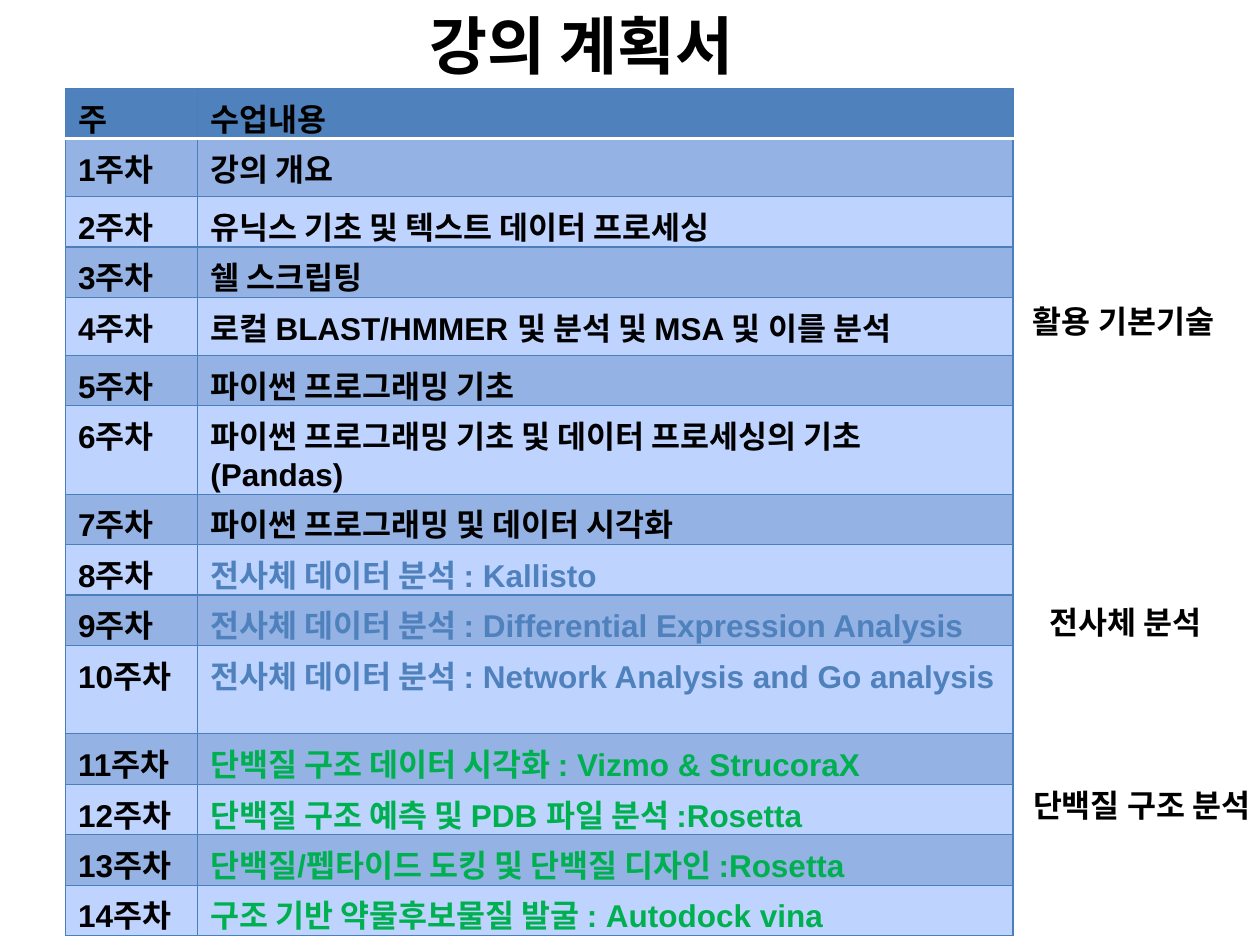
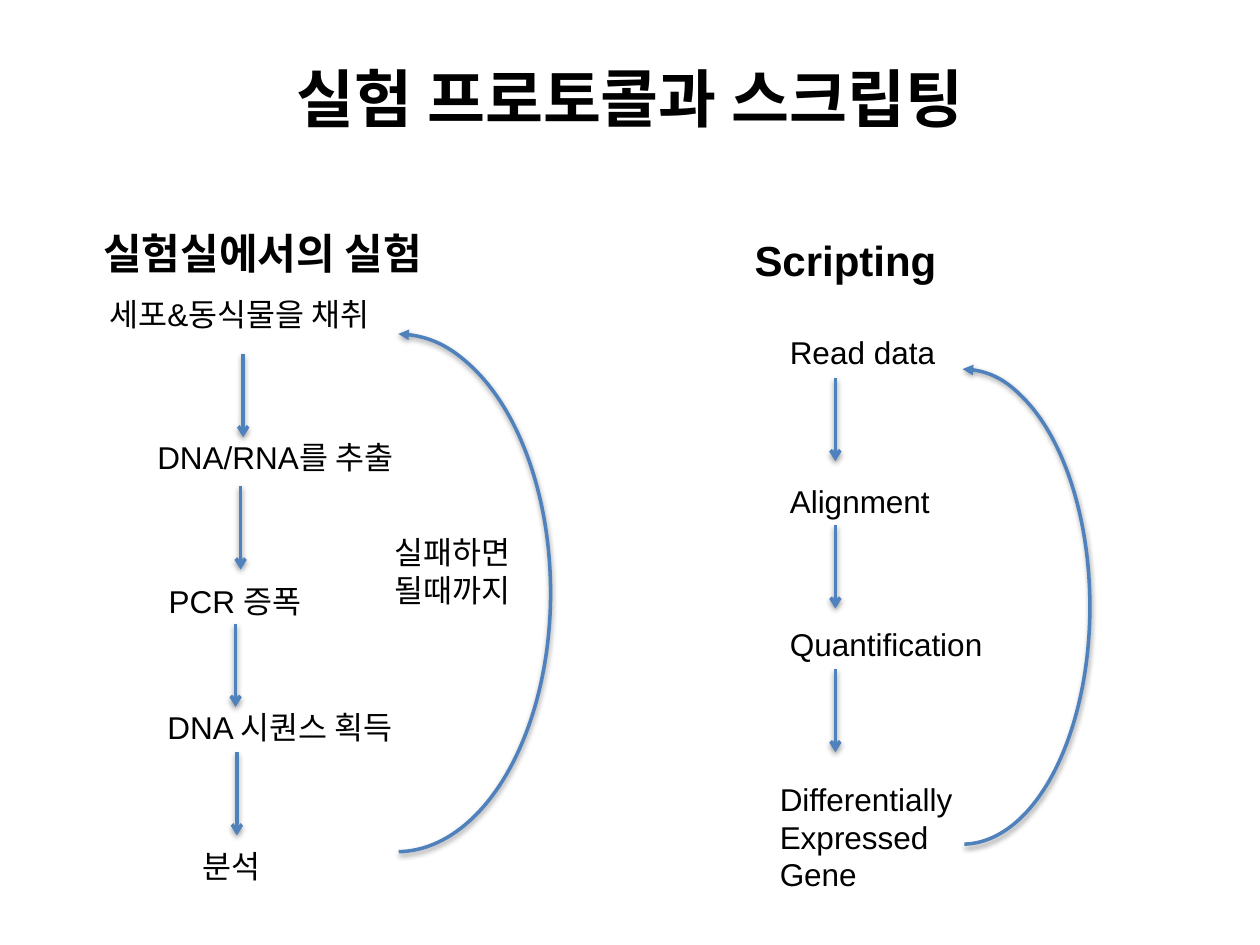
from dataclasses import dataclass

import pptx
import pptx.dml.color
import pptx.enum.dml
import pptx.enum.shapes
import pptx.enum.text
import pptx.oxml
import pptx.oxml.ns
import pptx.util
from pptx.util import Inches


@dataclass(frozen=True)
class Theme:
    text: str = "000000"
    accent: str = "4F81BD"
    green: str = "00B050"
    band_dark: str = "94B2E4"
    band_light: str = "BFD3FF"
    border: str = "4B7EBC"
    white: str = "FFFFFF"
    font: str = "Arial"
    label_font: str = "Calibri"
    title_size: int = 36
    heading_size: int = 24
    body_size: int = 18
    line_width: float = 2
    border_width: float = 0.75


THEME = Theme()


@dataclass(frozen=True)
class Label:
    text: str
    left: float
    top: float
    width: float
    height: float = 0.4
    size: int = THEME.body_size
    bold: bool = False
    font: str = THEME.font
    wrap: bool = False


@dataclass(frozen=True)
class Week:
    topic: str
    color: str = THEME.text
    height: float = 0.37


@dataclass(frozen=True)
class Arrow:
    x: float
    top: float
    length: float = 0.66


@dataclass(frozen=True)
class ReturnArc:
    left: float
    top: float
    width: float
    height: float
    start: float


WEEKS = [
    Week("강의 개요", height=0.46),
    Week("유닉스 기초 및 텍스트 데이터 프로세싱"),
    Week("쉘 스크립팅"),
    Week("로컬 BLAST/HMMER 및 분석 및 MSA 및 이를 분석", height=0.46),
    Week("파이썬 프로그래밍 기초"),
    Week("파이썬 프로그래밍 기초 및 데이터 프로세싱의 기초 (Pandas)"),
    Week("파이썬 프로그래밍 및 데이터 시각화"),
    Week("전사체 데이터 분석 : Kallisto", THEME.accent),
    Week("전사체 데이터 분석 : Differential Expression Analysis", THEME.accent),
    Week("전사체 데이터 분석 : Network Analysis and Go analysis", THEME.accent, 0.53),
    Week("단백질 구조 데이터 시각화 : Vizmo & StrucoraX", THEME.green),
    Week("단백질 구조 예측 및 PDB 파일 분석 :Rosetta", THEME.green),
    Week("단백질/펩타이드 도킹 및 단백질 디자인 :Rosetta", THEME.green),
    Week("구조 기반 약물후보물질 발굴 : Autodock vina", THEME.green),
]

PART_LABELS = [
    Label("활용 기본기술", 8.1, 2.35, 1.77, bold=True, font=THEME.label_font),
    Label("전사체 분석", 8.23, 4.74, 1.52, bold=True, font=THEME.label_font),
    Label("단백질 구조 분석", 8.1, 6.19, 2.08, bold=True, font=THEME.label_font),
]

PROTOCOL_LABELS = [
    Label("실험실에서의 실험", 0.72, 1.76, 2.99, 0.5, THEME.heading_size, True),
    Label("세포&동식물을 채취", 0.77, 2.29, 2.56, wrap=True),
    Label("DNA/RNA를 추출", 1.15, 3.43, 2.56, wrap=True),
    Label("PCR 증폭", 1.24, 4.57, 1.38),
    Label("DNA 시퀀스 획득", 1.23, 5.57, 2.12),
    Label("분석", 1.51, 6.67, 0.71),
    Label("실패하면\n될때까지", 3.03, 4.18, 1.21, 0.71),
    Label("Scripting", 5.89, 1.81, 1.66, 0.5, THEME.heading_size, True),
    Label("Read data", 6.17, 2.59, 1.37),
    Label("Alignment", 6.17, 3.78, 1.34),
    Label("Quantification", 6.17, 4.91, 1.75),
    Label("Differentially\nExpressed\nGene", 6.09, 6.14, 1.59, 1.01),
]

STEP_ARROWS = [
    Arrow(1.93, 2.81), Arrow(1.91, 3.86), Arrow(1.87, 4.95), Arrow(1.88, 5.97),
    Arrow(6.63, 3), Arrow(6.63, 4.17), Arrow(6.63, 5.31),
]

RETURN_ARCS = [
    ReturnArc(1.93, 2.65, 2.44, 4.11, 162.2),
    ReturnArc(6.63, 2.93, 2.02, 3.77, 162),
]


def rgb(color: str) -> pptx.dml.color.RGBColor:
    return pptx.dml.color.RGBColor.from_string(color)


def format_text(text_frame, size: int, bold: bool, font: str, color: str = THEME.text) -> None:
    for paragraph in text_frame.paragraphs:
        for run in paragraph.runs:
            run.font.size = pptx.util.Pt(size)
            run.font.bold = bold
            run.font.name = font
            run.font.color.rgb = rgb(color)


def place(shape, left: float, top: float, width: float, height: float) -> None:
    shape.left, shape.top = Inches(left), Inches(top)
    shape.width, shape.height = Inches(width), Inches(height)


def add_titled_slide(presentation, text: str, left: float, top: float, width: float, height: float):
    slide = presentation.slides.add_slide(presentation.slide_layouts[5])
    title = slide.shapes.title
    place(title, left, top, width, height)
    title.text_frame.text = text
    format_text(title.text_frame, THEME.title_size, True, THEME.font)
    return slide


def add_label(slide, label: Label) -> None:
    box = slide.shapes.add_textbox(
        Inches(label.left), Inches(label.top), Inches(label.width), Inches(label.height))
    text_frame = box.text_frame
    text_frame.text = label.text
    text_frame.word_wrap = label.wrap
    text_frame.auto_size = pptx.enum.text.MSO_AUTO_SIZE.SHAPE_TO_FIT_TEXT
    format_text(text_frame, label.size, label.bold, label.font)


def style_stroke(shape, end: str, arrowhead: str) -> None:
    shape.line.color.rgb = rgb(THEME.accent)
    shape.line.width = pptx.util.Pt(THEME.line_width)
    namespace = pptx.oxml.ns.nsdecls("a")
    shape.line._get_or_add_ln().append(
        pptx.oxml.parse_xml(f'<a:{end} {namespace} type="{arrowhead}"/>'))
    shape._element.spPr.append(pptx.oxml.parse_xml(
        f'<a:effectLst {namespace}><a:outerShdw blurRad="40000" dist="20000" dir="5400000" '
        'rotWithShape="0"><a:srgbClr val="000000"><a:alpha val="38000"/></a:srgbClr>'
        '</a:outerShdw></a:effectLst>'))


def add_step_arrow(slide, arrow: Arrow) -> None:
    connector = slide.shapes.add_connector(
        pptx.enum.shapes.MSO_CONNECTOR.STRAIGHT,
        Inches(arrow.x), Inches(arrow.top), Inches(arrow.x), Inches(arrow.top + arrow.length))
    style_stroke(connector, "tailEnd", "arrow")


def add_return_arc(slide, arc: ReturnArc) -> None:
    shape = slide.shapes.add_shape(
        pptx.enum.shapes.MSO_SHAPE.ARC,
        Inches(arc.left), Inches(arc.top), Inches(arc.width), Inches(arc.height))
    shape.adjustments[0] = arc.start
    shape.adjustments[1] = 53.75
    shape.fill.background()
    style_stroke(shape, "headEnd", "triangle")


def set_border(cell, side: str, color: str, width: float) -> None:
    cell._tc.get_or_add_tcPr().append(pptx.oxml.parse_xml(
        f'<a:{side} {pptx.oxml.ns.nsdecls("a")} w="{int(pptx.util.Pt(width))}">'
        f'<a:solidFill><a:srgbClr val="{color}"/></a:solidFill></a:{side}>'))


def fill_cell(cell, text: str, color: str, font: str, fill: str, white_side: str) -> None:
    cell.text_frame.text = text
    format_text(cell.text_frame, THEME.body_size, True, font, color)
    for side in ("lnL", "lnR", "lnT", "lnB"):
        if side == white_side:
            set_border(cell, side, THEME.white, THEME.line_width)
        else:
            set_border(cell, side, THEME.border, THEME.border_width)
    cell.fill.solid()
    cell.fill.fore_color.rgb = rgb(fill)


def add_schedule(slide) -> None:
    table = slide.shapes.add_table(
        len(WEEKS) + 1, 2, Inches(0.52), Inches(0.7), Inches(7.52), Inches(6.0)).table
    table.horz_banding = False
    for column, width in zip(table.columns, (1.05, 6.47)):
        column.width = Inches(width)
    table.rows[0].height = Inches(0.37)
    for index, heading in enumerate(("주", "수업내용")):
        fill_cell(table.cell(0, index), heading, THEME.text, THEME.label_font, THEME.accent, "lnB")
    for number, week in enumerate(WEEKS, start=1):
        table.rows[number].height = Inches(week.height)
        fill = THEME.band_dark if number % 2 else THEME.band_light
        white_side = "lnT" if number == 1 else ""
        cells = ((f"{number}주차", THEME.text), (week.topic, week.color))
        for index, (text, color) in enumerate(cells):
            fill_cell(table.cell(number, index), text, color, THEME.font, fill, white_side)


def build_schedule_slide(presentation) -> None:
    slide = add_titled_slide(presentation, "강의 계획서", 3.31, 0, 3.01, 0.71)
    text_frame = slide.shapes.title.text_frame
    text_frame.word_wrap = False
    text_frame.auto_size = pptx.enum.text.MSO_AUTO_SIZE.SHAPE_TO_FIT_TEXT
    text_frame.vertical_anchor = pptx.enum.text.MSO_ANCHOR.TOP
    text_frame.paragraphs[0].alignment = pptx.enum.text.PP_ALIGN.LEFT
    add_schedule(slide)
    for label in PART_LABELS:
        add_label(slide, label)


def build_protocol_slide(presentation) -> None:
    slide = add_titled_slide(presentation, "실험 프로토콜과 스크립팅", 0.5, 0, 9, 1.55)
    for label in PROTOCOL_LABELS:
        add_label(slide, label)
    for arrow in STEP_ARROWS:
        add_step_arrow(slide, arrow)
    for arc in RETURN_ARCS:
        add_return_arc(slide, arc)


def main() -> None:
    presentation = pptx.Presentation()
    presentation.slide_width = Inches(10)
    presentation.slide_height = Inches(7.5)
    build_schedule_slide(presentation)
    build_protocol_slide(presentation)
    presentation.save("out.pptx")


if __name__ == "__main__":
    main()
